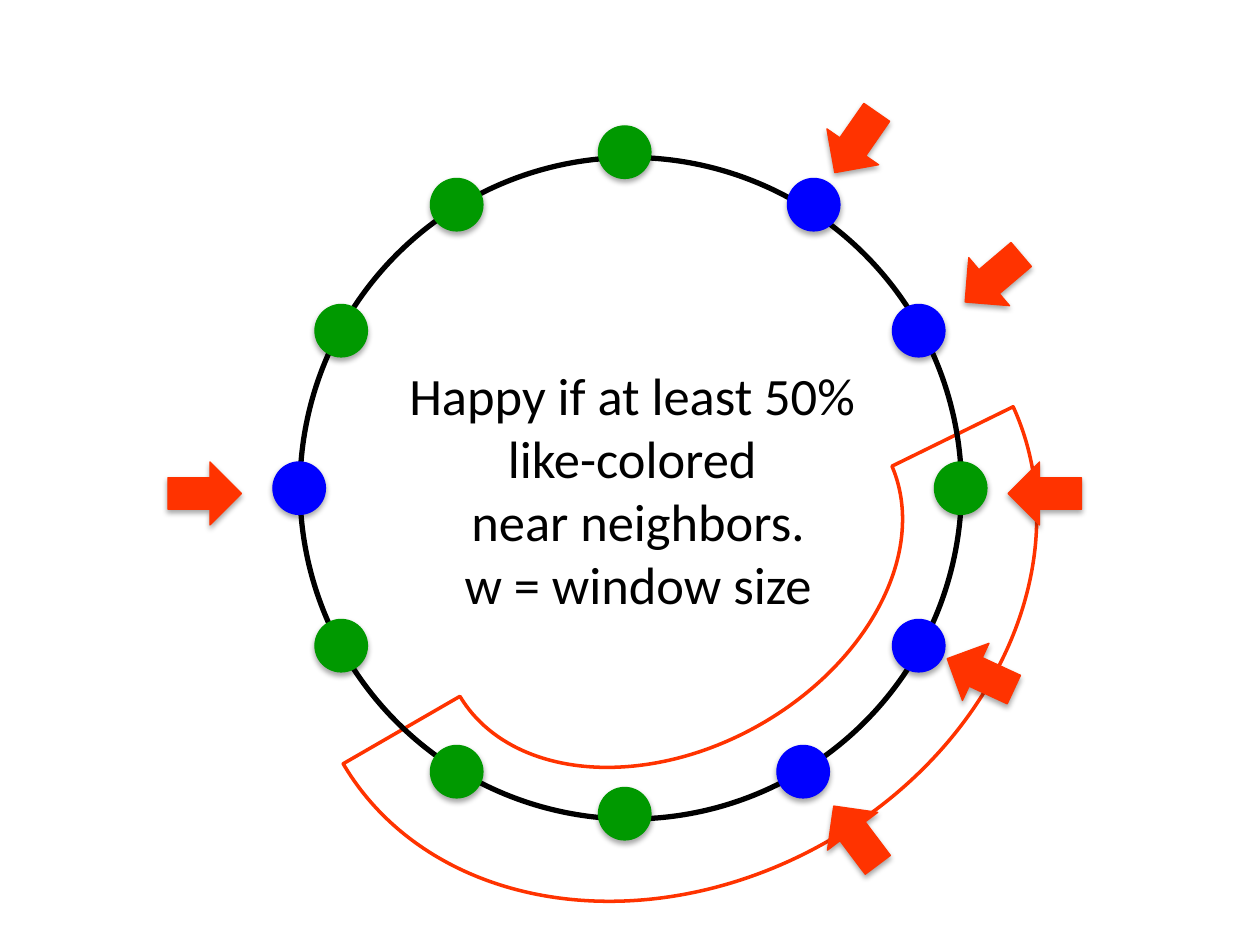
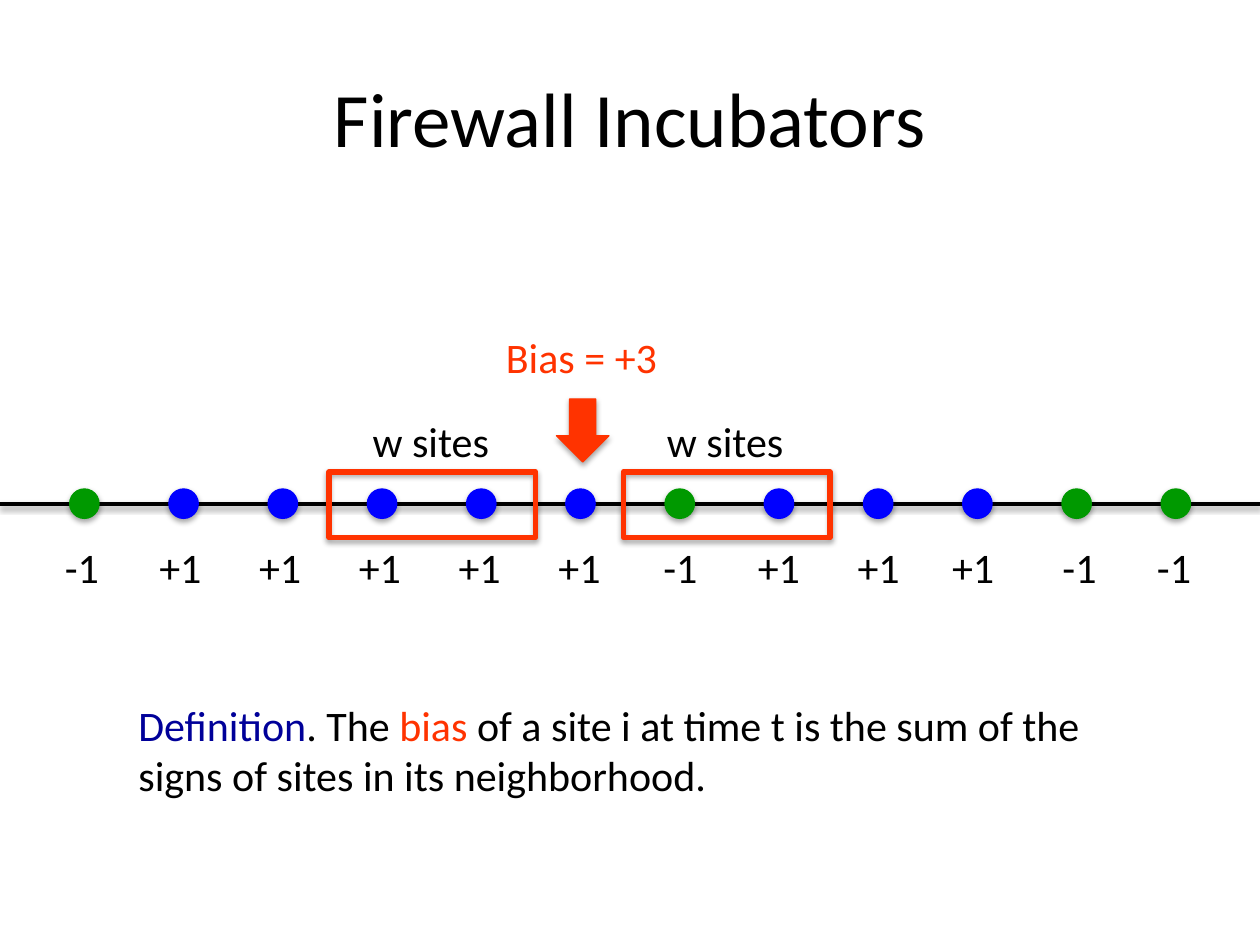
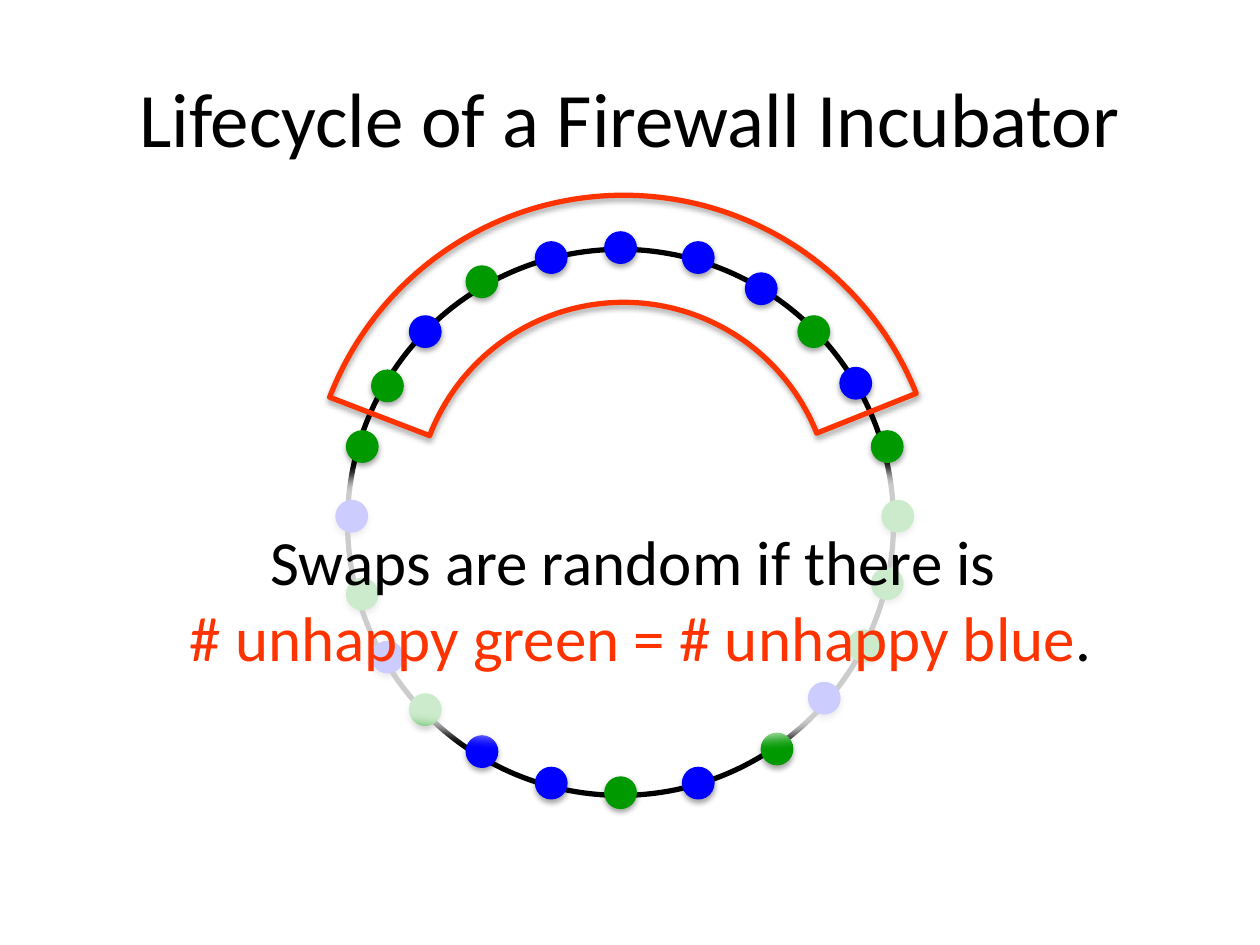
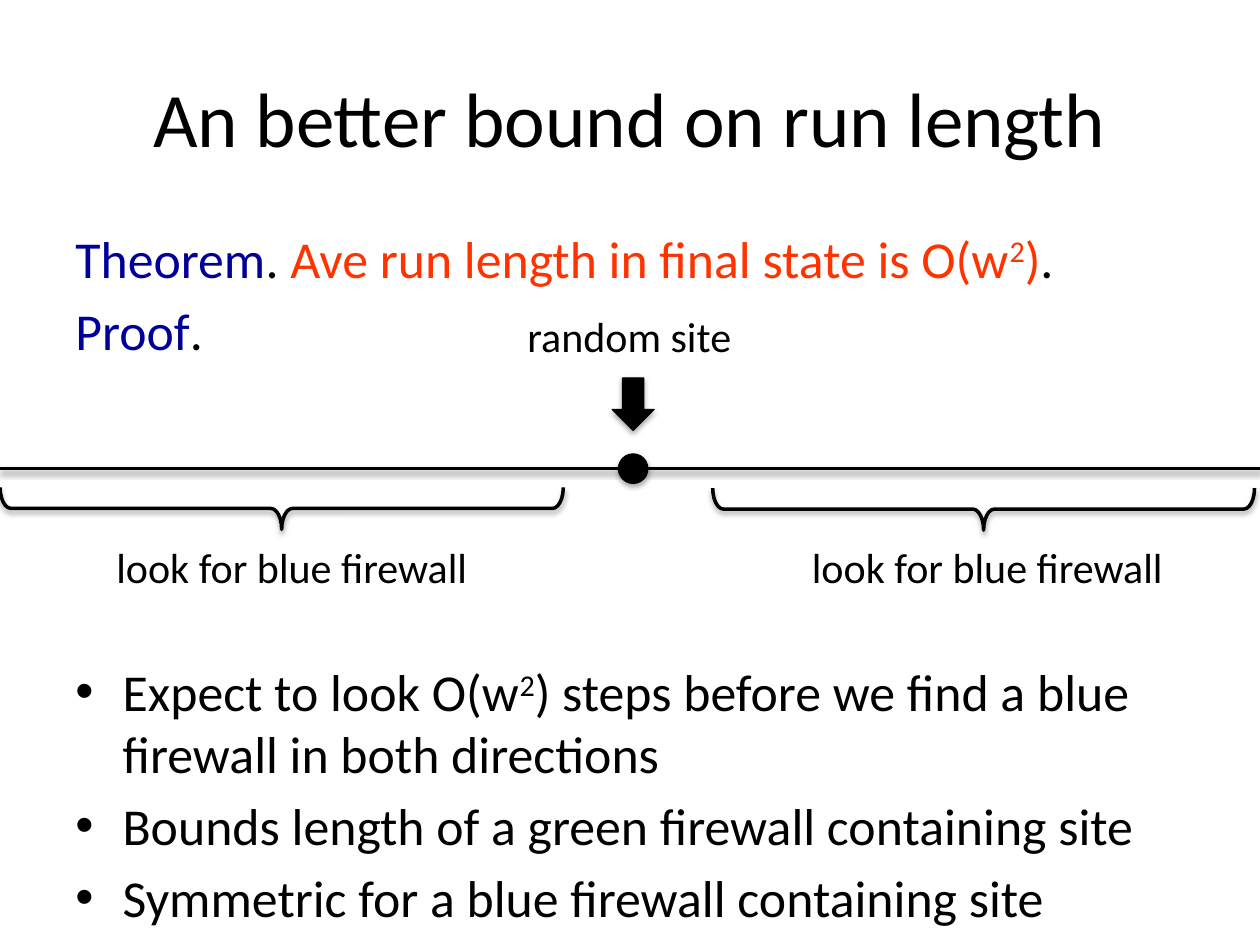
"""Build four slides on segregation rings, firewall incubators and run length."""
from pptx import Presentation
from pptx.dml.color import RGBColor
from pptx.enum.shapes import MSO_CONNECTOR as LINE, MSO_SHAPE as SHAPE
from pptx.enum.text import MSO_ANCHOR as ANCHOR, MSO_AUTO_SIZE as FIT, PP_ALIGN as ALIGN
from pptx.oxml import parse_xml
from pptx.oxml.ns import nsdecls
from pptx.util import Pt

COLORS = {
    "black": "000000",
    "white": "FFFFFF",
    "blue": "0000FF",
    "green": "009900",
    "red": "FF3300",
    "navy": "000099",
}
NS = nsdecls("a")
SHADOW = (
    f'<a:effectLst {NS}><a:outerShdw blurRad="40000" dist="23000" dir="5400000" rotWithShape="0">'
    '<a:srgbClr val="000000"><a:alpha val="35000"/></a:srgbClr></a:outerShdw></a:effectLst>'
)
SOFT_EDGE = f'<a:effectLst {NS}><a:softEdge rad="112500"/></a:effectLst>'
TITLE = {"word_wrap": True, "auto_size": FIT.NONE, "vertical_anchor": ANCHOR.MIDDLE}
LABEL = {"word_wrap": False, "auto_size": FIT.SHAPE_TO_FIT_TEXT}
BODY = {"word_wrap": True, "auto_size": FIT.NONE}
OVERLAY = {
    "word_wrap": False,
    "vertical_anchor": ANCHOR.MIDDLE,
    "margin_left": 0,
    "margin_top": 0,
    "margin_right": 0,
    "margin_bottom": 0,
}


def draw(shapes, kind, box, fill=None, line=None, width=0.75, effect=SHADOW, rotation=0, adjust=()):
    shape = shapes.add_shape(kind, *map(Pt, box))
    shape.rotation = rotation
    for index, value in enumerate(adjust):
        shape.adjustments[index] = value
    if fill:
        shape.fill.solid()
        shape.fill.fore_color.rgb = RGBColor.from_string(COLORS[fill])
    else:
        shape.fill.background()
    if line:
        shape.line.color.rgb = RGBColor.from_string(COLORS[line])
        shape.line.width = Pt(width)
    else:
        shape.line.fill.background()
    if effect:
        shape._element.spPr.append(parse_xml(effect))
    else:
        shape.shadow.inherit = False
    return shape


def write(shape, paragraphs, size, style, align=ALIGN.LEFT):
    frame = shape.text_frame
    for key, value in style.items():
        setattr(frame, key, value)
    for index, pieces in enumerate(paragraphs):
        paragraph = frame.add_paragraph() if index else frame.paragraphs[0]
        paragraph.alignment = align
        for text, color, *raised in pieces:
            for number, part in enumerate(text.split("\n")):
                if number:
                    paragraph.add_line_break()
                run = paragraph.add_run()
                run.text = part
                font = {"name": "Calibri", "size": Pt(size)}
                for key, value in font.items():
                    setattr(run.font, key, value)
                run.font.color.rgb = RGBColor.from_string(COLORS[color])
                if raised:
                    run._r.get_or_add_rPr().set("baseline", "30000")
    return frame


deck = Presentation()
deck.slide_width, deck.slide_height = Pt(720), Pt(540)

happy = deck.slides.add_slide(deck.slide_layouts[6])
draw(happy.shapes, SHAPE.BLOCK_ARC, (167, 151.2, 434.2, 353.5), "white", "red", 2, None,
     150.9, (109.787, 215.471, 0.218))
draw(happy.shapes, SHAPE.OVAL, (171.4, 90, 378, 378), None, "black", 3, None)
people = {
    "blue": [(156, 264), (444, 426), (510, 354), (510, 174), (450, 102)],
    "green": [(180, 354), (246, 426), (342, 450), (534, 264), (342, 72), (246, 102), (180, 174)],
}
for color, places in people.items():
    for left, top in places:
        draw(happy.shapes, SHAPE.OVAL, (left, top, 30, 30), color, color)
write(
    happy.shapes.add_textbox(*map(Pt, (225.4, 203.8, 278.6, 152.6))),
    [
        [("Happy if at least 50% ", "black")],
        [("like-colored \nnear neighbors.", "black")],
        [("w = window size", "black")],
    ],
    30, LABEL, ALIGN.CENTER,
)
unhappy_arrows = [
    (96, 264, 0), (546.5, 141, 139.7), (576, 264, 180),
    (539.3, 367.2, 204.9), (468, 459.4, 233.1), (468, 63.4, 124.8),
]
for left, top, turn in unhappy_arrows:
    draw(happy.shapes, SHAPE.RIGHT_ARROW, (left, top, 42, 36), "red", "red", rotation=turn)

titled = []
for heading, axis_top in [
    ("Firewall Incubators", 288),
    ("Lifecycle of a Firewall Incubator", None),
    ("An better bound on run length", 267.8),
]:
    slide = deck.slides.add_slide(deck.slide_layouts[5])
    title = slide.shapes.title
    title.left, title.top, title.width, title.height = map(Pt, (36, 21.6, 648, 90))
    write(title, [[(heading, "black")]], 44, TITLE, ALIGN.CENTER)
    if axis_top:
        axis = slide.shapes.add_connector(LINE.STRAIGHT, 0, Pt(axis_top), Pt(720), Pt(axis_top))
        axis.line.color.rgb = RGBColor.from_string(COLORS["black"])
        axis.line.width = Pt(2)
        axis._element.spPr.append(parse_xml(SHADOW))
    titled.append(slide)
incubators, lifecycle, bound = titled

signs = ["-1", "+1", "+1", "+1", "+1", "+1", "-1", "+1", "+1", "+1", "-1", "-1"]
sign_lefts = [30, 84, 141, 198, 255, 312, 372, 426, 483, 537, 600, 654]
for site, (sign, sign_left) in enumerate(zip(signs, sign_lefts)):
    color = "blue" if sign == "+1" else "green"
    draw(incubators.shapes, SHAPE.OVAL, (39.8 + 56.7 * site, 279.4, 16.8, 16.8), color, color)
    sign_width = 39 if sign == "+1" else 34.6
    write(incubators.shapes.add_textbox(*map(Pt, (sign_left, 306, sign_width, 36))),
          [[(sign, "black")]], 24, LABEL)
for window_left in (188, 356.2):
    draw(incubators.shapes, SHAPE.RECTANGLE, (window_left, 269.7, 118.2, 37.6), None, "red", 3)
    write(incubators.shapes.add_textbox(*map(Pt, (window_left + 17.8, 234, 82, 36))),
          [[("w sites", "black")]], 24, LABEL)
draw(incubators.shapes, SHAPE.DOWN_ARROW, (318, 228, 30, 36), "red", "red")
write(incubators.shapes.add_textbox(*map(Pt, (282, 186, 101.5, 36))),
      [[("Bias = +3", "red")]], 24, LABEL)
definition = [
    ("Definition", "navy"),
    (". The ", "black"),
    ("bias", "red"),
    (" of a site i at time t is the sum of the \nsigns of sites in its neighborhood.", "black"),
]
write(incubators.shapes.add_textbox(*map(Pt, (72, 396, 558.7, 65.4))), [definition], 24, LABEL)

ring = lifecycle.shapes.add_group_shape()
draw(ring.shapes, SHAPE.OVAL, (198.6, 142.5, 312, 312), None, "black", 3, None)
ring_sites = {
    "blue": [
        (192, 286), (345.6, 132.5), (266.4, 420.5), (212.4, 366.5), (426, 156), (480, 210),
        (306, 438.5), (390, 138.2), (306, 138.2), (234, 180.5), (462, 390), (390, 438.5),
    ],
    "green": [
        (212.4, 211.5), (266.4, 152), (504, 286), (345.6, 444), (484.5, 360), (435, 419),
        (234, 396.5), (198, 330.5), (198, 246.2), (456, 180.5), (498, 246.2), (498, 324.5),
    ],
}
for color, places in ring_sites.items():
    for left, top in places:
        draw(ring.shapes, SHAPE.OVAL, (left, top, 18, 18), color, color)
draw(lifecycle.shapes, SHAPE.BLOCK_ARC, (176.4, 111.6, 360, 360), None, "red", 3,
     rotation=17.3, adjust=(110.235, 192.558, 0.17))
veil = draw(lifecycle.shapes, SHAPE.OVAL, (36, 252, 660, 180), "white", effect=SOFT_EDGE)
veil.fill._xPr.solidFill.srgbClr.append(parse_xml(f'<a:alpha {NS} val="80000"/>'))
swaps = [
    ("Swaps are random if there is \n", "black"),
    ("# unhappy green = # unhappy blue", "red"),
    (".", "black"),
]
write(veil, [swaps], 36, OVERLAY, ALIGN.CENTER)

argument = write(
    bound.shapes.add_textbox(*map(Pt, (36, 126, 648, 390))),
    [
        [
            ("Theorem", "navy"), (". ", "black"),
            ("Ave run length in final state is O(w", "red"), ("2", "red", True), (")", "red"),
            (".", "black"),
        ],
        [("Proof", "navy"), (".", "black")],
        [
            ("Expect to look O(w", "black"), ("2", "black", True),
            (") steps before we find a blue firewall in both directions", "black"),
        ],
        [("Bounds length of a green firewall containing site", "black")],
        [("Symmetric for a blue firewall containing site", "black")],
    ],
    29.6, BODY,
)
for step, space in zip(argument.paragraphs[1:], (5.5, 171, 5.5, 5.5)):
    if step is not argument.paragraphs[1] and step.text != "Proof.":
        properties = step._p.get_or_add_pPr()
        properties.set("marL", str(Pt(27)))
        properties.set("indent", str(-Pt(27)))
        properties.append(parse_xml(f'<a:buFont {NS} typeface="Arial"/>'))
        properties.append(parse_xml(f'<a:buChar {NS} char="•"/>'))
    step.space_before = Pt(space)
draw(bound.shapes, SHAPE.OVAL, (353.4, 259.4, 16.8, 16.8), "black", "black")
draw(bound.shapes, SHAPE.DOWN_ARROW, (349.8, 216, 24, 30), "black", "black")
captions = [
    ("random site", (293, 174, 133.2, 36)),
    ("look for blue firewall", (455.8, 306, 216.7, 36)),
    ("look for blue firewall", (57.6, 306, 218.2, 36)),
]
for caption, box in captions:
    write(bound.shapes.add_textbox(*map(Pt, box)), [[(caption, "black")]], 24, LABEL, ALIGN.CENTER)
for brace_box in [(550.1, 136.1, 24, 309.6), (149, 129.6, 24, 321.8)]:
    draw(bound.shapes, SHAPE.LEFT_BRACE, brace_box, None, "black", 2,
         rotation=270, adjust=(0.257, 0.5))

deck.save("out.pptx")
